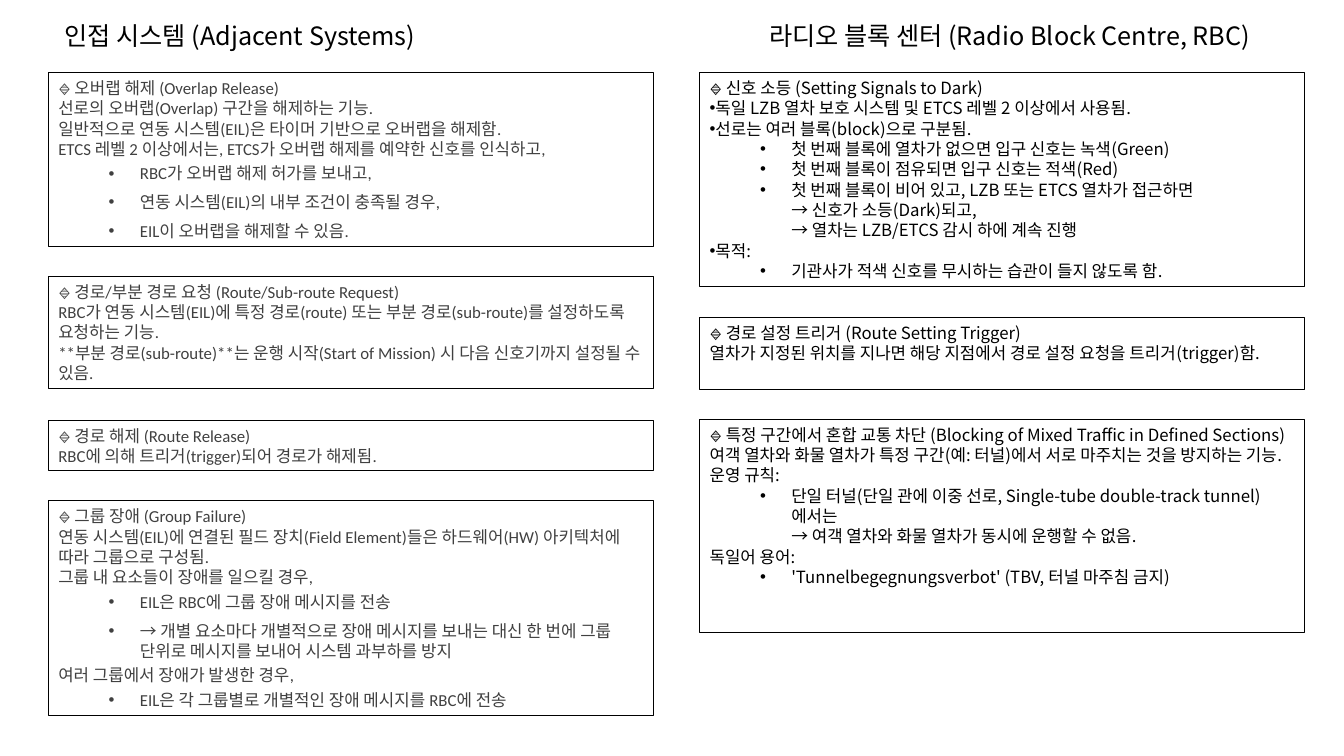
from pptx import Presentation
from pptx.dml.color import RGBColor
from pptx.enum.shapes import MSO_SHAPE
from pptx.enum.text import MSO_ANCHOR, PP_ALIGN
from pptx.oxml.ns import qn
from pptx.util import Inches, Pt
from lxml.etree import SubElement

CJK = "Noto Sans CJK KR"
LEFT, RIGHT = 0.48, 6.94


def color(value):
    return RGBColor.from_string(value)


def format_para(para, size, font, value):
    para.alignment = PP_ALIGN.LEFT
    para.line_spacing = Pt(size * 1.21)
    for span in para.runs:
        span.font.size = Pt(size)
        span.font.name = font
        span.font.color.rgb = color(value)
        SubElement(span.font._element, qn("a:ea"), typeface=CJK)


deck = Presentation()
deck.slide_width = Inches(13.33)
deck.slide_height = Inches(7.5)
page = deck.slides.add_slide(deck.slide_layouts[5])

adjacent_title = page.shapes.title
radio_title = page.shapes.add_textbox(0, 0, 0, 0)
titles = [
    (adjacent_title, 0.54, 4.43, "인접 시스템 (Adjacent Systems)"),
    (radio_title, 7.53, 5.35, "라디오 블록 센터 (Radio Block Centre, RBC)"),
]
for box, left, width, text in titles:
    box.left, box.top = Inches(left), Inches(0.15)
    box.width, box.height = Inches(width), Inches(0.4)
    frame = box.text_frame
    frame.word_wrap = True
    frame.vertical_anchor = MSO_ANCHOR.TOP
    frame.text = text
    format_para(frame.paragraphs[0], 18, CJK, "000000")

# "-" marks an indented bullet, "*" a flush bullet, " " plain text
functions = [
    (LEFT, 0.72, 1.73, [
        " 🔹 오버랩 해제 (Overlap Release)",
        " 선로의 오버랩(Overlap) 구간을 해제하는 기능.",
        " 일반적으로 연동 시스템(EIL)은 타이머 기반으로 오버랩을 해제함.",
        " ETCS 레벨 2 이상에서는, ETCS가 오버랩 해제를 예약한 신호를 인식하고,",
        "-RBC가 오버랩 해제 허가를 보내고,",
        "-연동 시스템(EIL)의 내부 조건이 충족될 경우,",
        "-EIL이 오버랩을 해제할 수 있음.",
    ]),
    (LEFT, 2.74, 1.11, [
        " 🔹 경로/부분 경로 요청 (Route/Sub-route Request)",
        " RBC가 연동 시스템(EIL)에 특정 경로(route) 또는 부분 경로(sub-route)를 설정하도록 요청하는 기능.",
        " **부분 경로(sub-route)**는 운행 시작(Start of Mission) 시 다음 신호기까지 설정될 수 있음.",
    ]),
    (LEFT, 4.17, 0.5, [
        " 🔹 경로 해제 (Route Release)",
        " RBC에 의해 트리거(trigger)되어 경로가 해제됨.",
    ]),
    (LEFT, 4.97, 2.13, [
        " 🔹 그룹 장애 (Group Failure)",
        " 연동 시스템(EIL)에 연결된 필드 장치(Field Element)들은 하드웨어(HW) 아키텍처에 따라 그룹으로 구성됨.",
        " 그룹 내 요소들이 장애를 일으킬 경우,",
        "-EIL은 RBC에 그룹 장애 메시지를 전송",
        "-→ 개별 요소마다 개별적으로 장애 메시지를 보내는 대신 한 번에 그룹 단위로 메시지를 보내어 시스템 과부하를 방지",
        " 여러 그룹에서 장애가 발생한 경우,",
        "-EIL은 각 그룹별로 개별적인 장애 메시지를 RBC에 전송",
    ]),
    (RIGHT, 0.72, 2.12, [
        " 🔹 신호 소등 (Setting Signals to Dark)",
        "*독일 LZB 열차 보호 시스템 및 ETCS 레벨 2 이상에서 사용됨.",
        "*선로는 여러 블록(block)으로 구분됨.",
        "-첫 번째 블록에 열차가 없으면 입구 신호는 녹색(Green)",
        "-첫 번째 블록이 점유되면 입구 신호는 적색(Red)",
        "-첫 번째 블록이 비어 있고, LZB 또는 ETCS 열차가 접근하면\n→ 신호가 소등(Dark)되고,\n→ 열차는 LZB/ETCS 감시 하에 계속 진행",
        "*목적:",
        "-기관사가 적색 신호를 무시하는 습관이 들지 않도록 함.",
    ]),
    (RIGHT, 3.15, 0.71, [
        " 🔹 경로 설정 트리거 (Route Setting Trigger)",
        " 열차가 지정된 위치를 지나면 해당 지점에서 경로 설정 요청을 트리거(trigger)함.",
    ]),
    (RIGHT, 4.16, 2.12, [
        " 🔹 특정 구간에서 혼합 교통 차단 (Blocking of Mixed Traffic in Defined Sections)",
        " 여객 열차와 화물 열차가 특정 구간(예: 터널)에서 서로 마주치는 것을 방지하는 기능.",
        " 운영 규칙:",
        "-단일 터널(단일 관에 이중 선로, Single-tube double-track tunnel)에서는\n→ 여객 열차와 화물 열차가 동시에 운행할 수 없음.",
        " 독일어 용어:",
        "-'Tunnelbegegnungsverbot' (TBV, 터널 마주침 금지)",
    ]),
]

for left, top, height, lines in functions:
    font, value, gap = ("Calibri", "404040", 3) if left == LEFT else (CJK, "000000", 0)
    box = page.shapes.add_shape(
        MSO_SHAPE.RECTANGLE, Inches(left), Inches(top), Inches(6), Inches(height))
    box.shadow.inherit = False
    box.fill.background()
    box.line.color.rgb = color("000000")
    box.line.width = Pt(0.75)
    frame = box.text_frame
    frame.word_wrap = True
    frame.vertical_anchor = MSO_ANCHOR.TOP
    frame.text = "\n".join(" " for line in lines)
    for para, line in zip(frame.paragraphs, lines):
        mark = line[0]
        para.text = line[1:]
        format_para(para, 12, font, value)
        if mark == " ":
            continue
        properties = para._p.get_or_add_pPr()
        if mark == "-":
            para.level = 1
            para.space_before = para.space_after = Pt(gap)
            properties.set("marL", str(Inches(0.81)))
            properties.set("indent", str(Inches(-0.31)))
        SubElement(properties, qn("a:buFont"), typeface="Arial")
        SubElement(properties, qn("a:buChar"), char="•")

deck.save("out.pptx")
